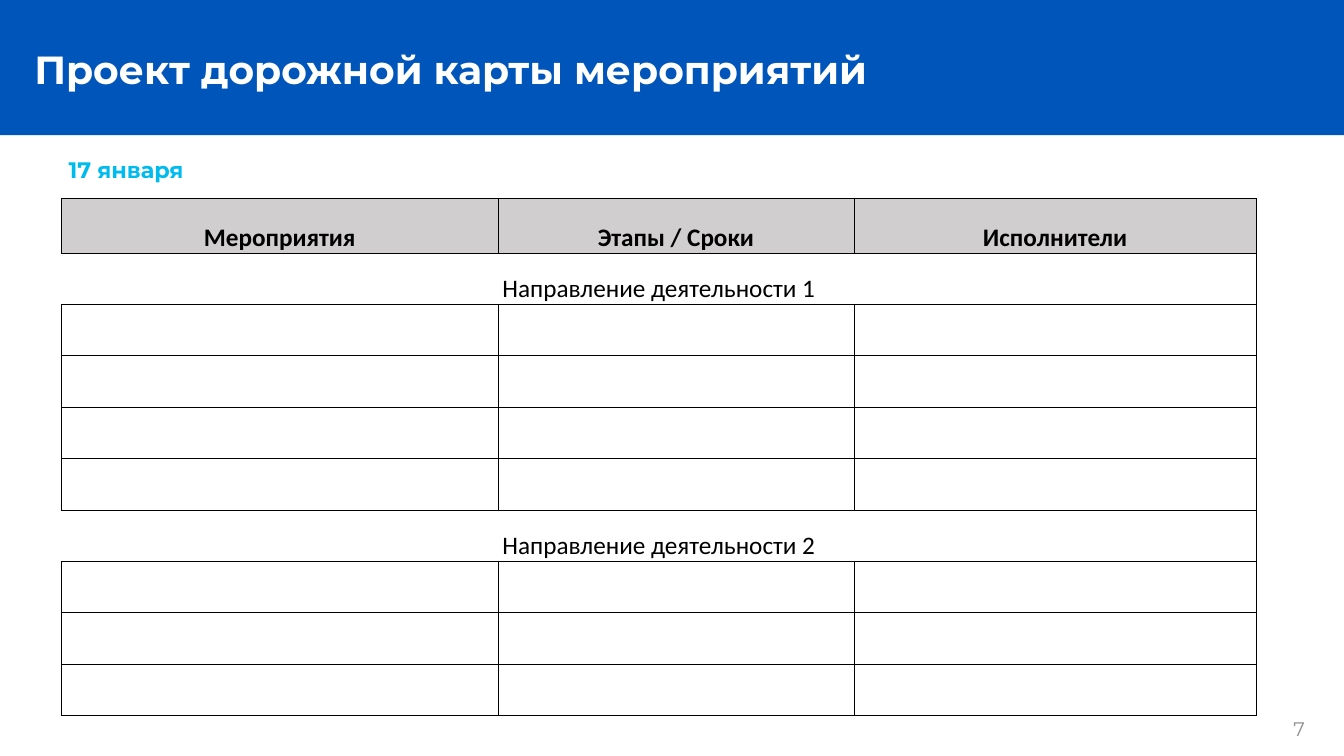
from lxml import etree
from pptx import Presentation
from pptx.dml.color import RGBColor
from pptx.enum import shapes, text
from pptx.oxml import ns
from pptx.util import Inches, Pt

BLUE = RGBColor(0x00, 0x55, 0xBB)
CYAN = RGBColor(0x00, 0xBB, 0xEE)
GREY = RGBColor(0x8F, 0x90, 0x92)
HEADER_GREY = RGBColor(0xD0, 0xCE, 0xCE)
WHITE = RGBColor(0xFF, 0xFF, 0xFF)
BLACK = RGBColor(0x00, 0x00, 0x00)

PLAIN_TABLE_STYLE = "{2D5ABB26-0587-4C30-8999-92F81FD0307C}"
HEADINGS = ["Мероприятия", "Этапы / Сроки", "Исполнители"]
# Each activity area with its number of blank rows
AREAS = [("Направление деятельности 1", 4), ("Направление деятельности 2", 3)]
COLUMN_WIDTHS = [4.33, 3.53, 3.99]
HEADER_HEIGHT, ROW_HEIGHT = 0.54, 0.51


def place(shape, left, top, width, height):
    shape.left, shape.top = Inches(left), Inches(top)
    shape.width, shape.height = Inches(width), Inches(height)


def write(frame, words, font_name, size, color, bold=False, align=text.PP_ALIGN.LEFT):
    frame.text = words
    paragraph = frame.paragraphs[0]
    paragraph.alignment = align
    font = paragraph.font
    font.name, font.size, font.bold = font_name, Pt(size), bold
    font.color.rgb = color
    return paragraph


def add_band(slide, width):
    band = slide.shapes.add_shape(shapes.MSO_SHAPE.RECTANGLE, 0, 0, width, Inches(1.34))
    band.shadow.inherit = False
    band.fill.solid()
    band.fill.fore_color.rgb = BLUE
    band.line.fill.background()
    # Send behind the placeholders
    slide.shapes._spTree.insert(2, band._element)


def fill_title(title):
    place(title, 0.24, 0.4, 10.82, 0.57)
    write(title.text_frame, "Проект дорожной карты мероприятий", "Montserrat", 28, WHITE, True)
    title.text_frame.auto_size = text.MSO_AUTO_SIZE.NONE
    title.text_frame.vertical_anchor = text.MSO_ANCHOR.MIDDLE


def fill_date(date):
    place(date, 0.58, 1.5, 12.46, 0.37)
    paragraph = write(date.text_frame, "17 января", "Montserrat", 16, CYAN, True)
    date.text_frame.auto_size = text.MSO_AUTO_SIZE.NONE
    paragraph.space_before, paragraph.space_after = Pt(0), Pt(6)
    # No bullet or hanging indent
    properties = paragraph._p.get_or_add_pPr()
    properties.set("marL", "0")
    properties.set("indent", "0")
    etree.SubElement(properties, ns.qn("a:buNone"))


def add_page_number(slide):
    number = slide.shapes.add_textbox(Inches(12.73), Inches(7.06), Inches(0.45), Inches(0.34))
    number.text_frame.word_wrap = False
    write(number.text_frame, "7", "Montserrat", 14, GREY)


def draw_borders(cell, sides):
    properties = cell._tc.get_or_add_tcPr()
    for side in sides:
        line = etree.SubElement(properties, ns.qn(f"a:ln{side}"), w=str(Pt(0.5)))
        fill = etree.SubElement(line, ns.qn("a:solidFill"))
        etree.SubElement(fill, ns.qn("a:srgbClr"), val=str(BLACK))


def fill_cell(cell, words, bold=False):
    cell.margin_left = cell.margin_right = cell.margin_top = Inches(0.01)
    cell.margin_bottom = 0
    cell.vertical_anchor = text.MSO_ANCHOR.BOTTOM
    write(cell.text_frame, words, "Calibri", 18, BLACK, bold, text.PP_ALIGN.CENTER)


def add_roadmap(slide):
    row_count = 1 + sum(1 + blanks for _, blanks in AREAS)
    height = HEADER_HEIGHT + ROW_HEIGHT * (row_count - 1)
    roadmap = slide.shapes.add_table(
        row_count, len(HEADINGS), Inches(0.61), Inches(1.97),
        Inches(sum(COLUMN_WIDTHS)), Inches(height)).table
    roadmap._tbl.tblPr.find(ns.qn("a:tableStyleId")).text = PLAIN_TABLE_STYLE
    roadmap.first_row = roadmap.horz_banding = False
    for column, width in zip(roadmap.columns, COLUMN_WIDTHS):
        column.width = Inches(width)
    for index, row in enumerate(roadmap.rows):
        row.height = Inches(ROW_HEIGHT if index else HEADER_HEIGHT)

    # Area rows span the table and stay open on the left
    area_row = 1
    for area, blanks in AREAS:
        first = roadmap.cell(area_row, 0)
        first.merge(roadmap.cell(area_row, len(HEADINGS) - 1))
        fill_cell(first, area)
        area_row += 1 + blanks

    for cell in roadmap.iter_cells():
        draw_borders(cell, "RTB" if cell.is_merge_origin or cell.is_spanned else "LRTB")
        cell.fill.background()

    # Header row
    for column, heading in enumerate(HEADINGS):
        cell = roadmap.cell(0, column)
        fill_cell(cell, heading, bold=True)
        cell.fill.solid()
        cell.fill.fore_color.rgb = HEADER_GREY


def main():
    deck = Presentation()
    deck.slide_width, deck.slide_height = Inches(13.33), Inches(7.5)
    slide = deck.slides.add_slide(deck.slide_layouts[1])
    add_band(slide, deck.slide_width)
    fill_title(slide.shapes.title)
    fill_date(slide.placeholders[1])
    add_roadmap(slide)
    add_page_number(slide)
    deck.save("out.pptx")


if __name__ == "__main__":
    main()
